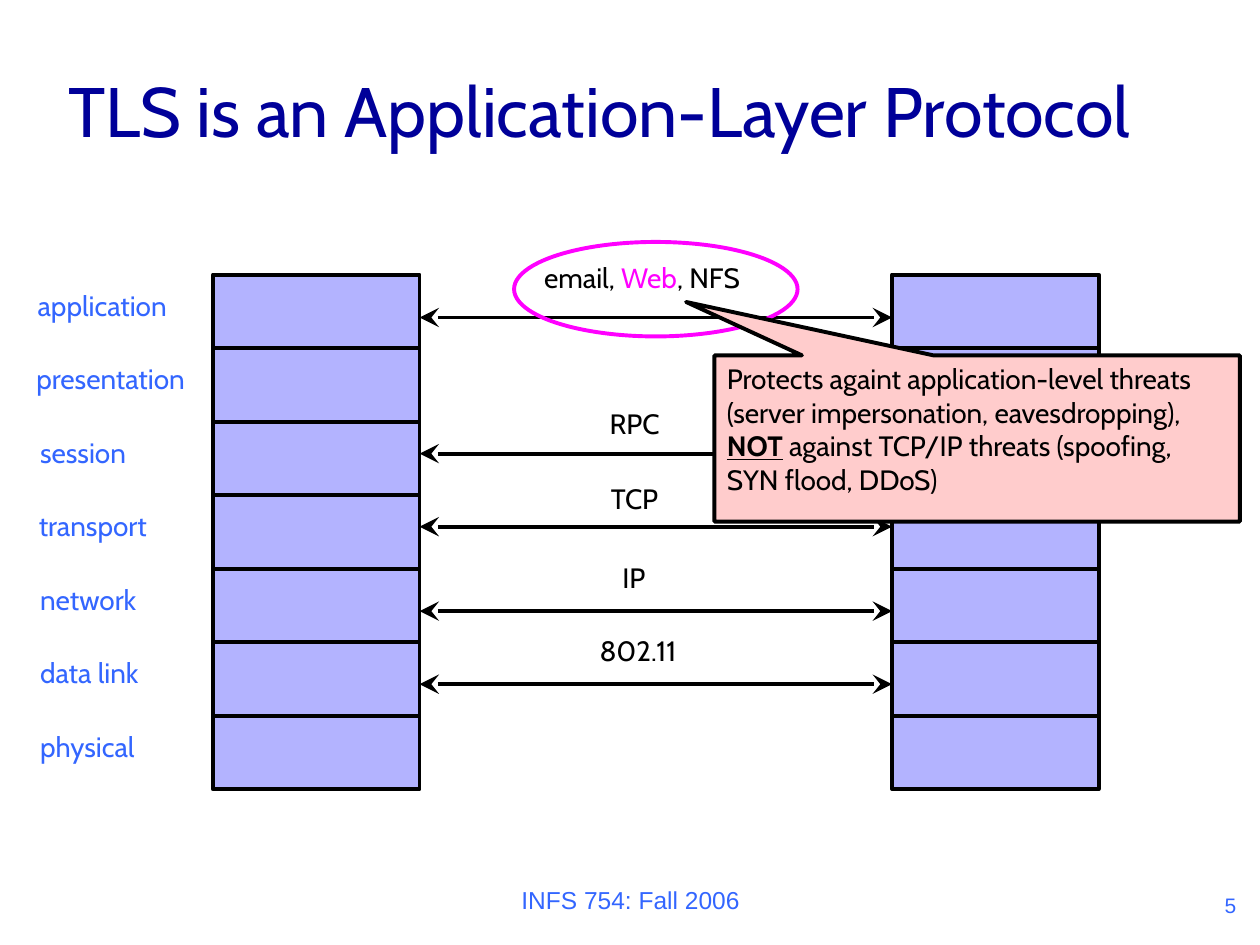
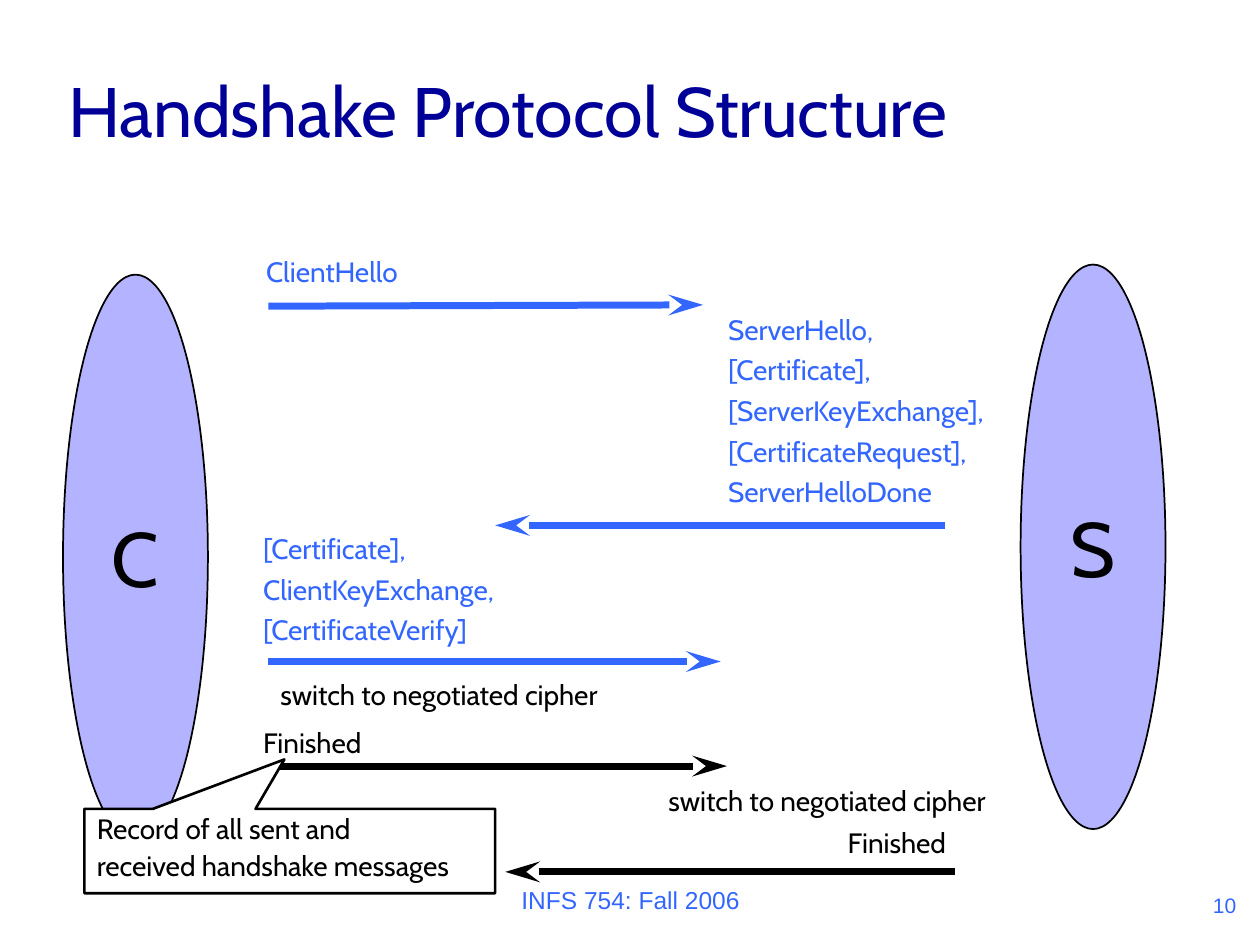
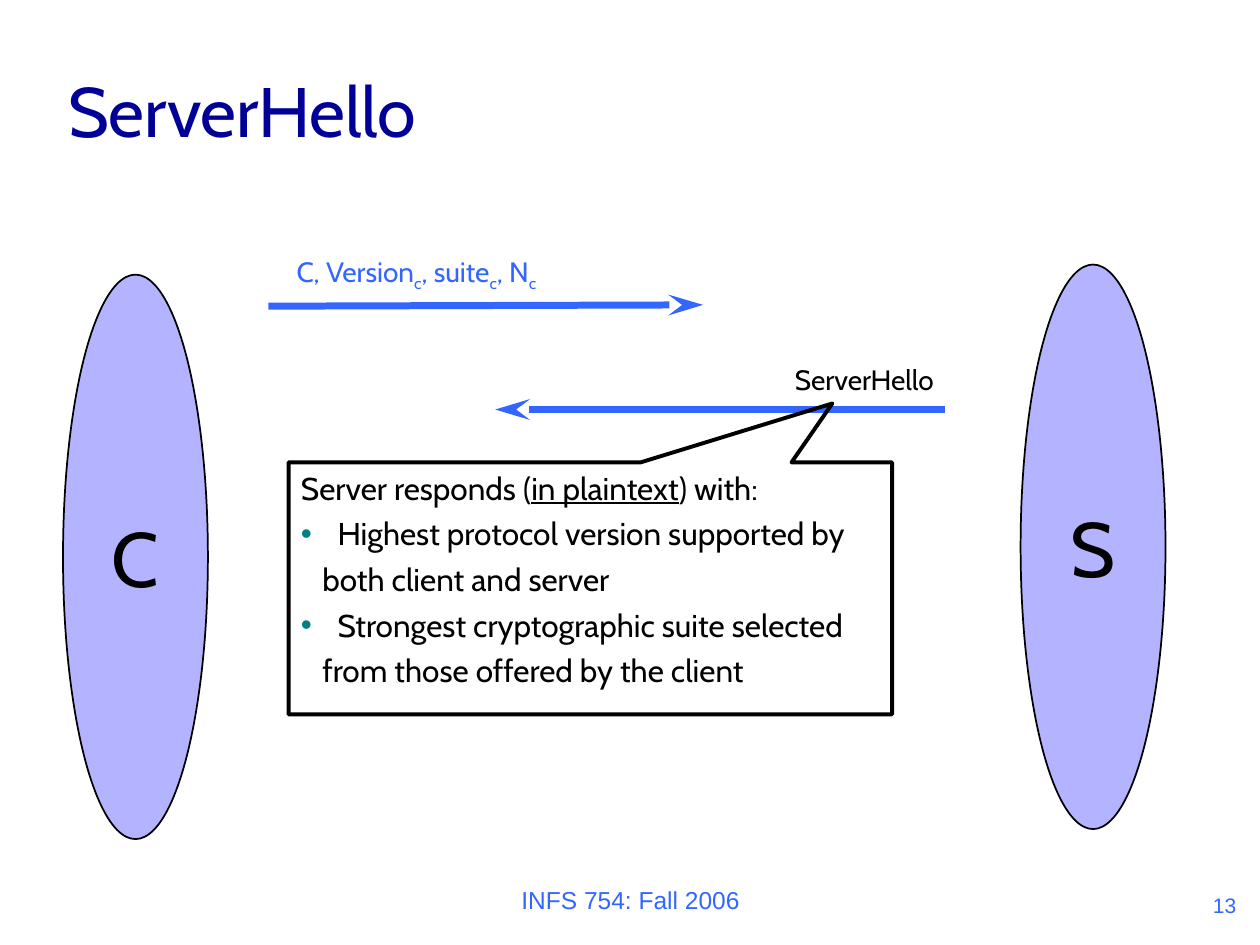
from lxml import etree
from pptx import Presentation
from pptx.dml.color import RGBColor
from pptx.enum import shapes, text
from pptx.oxml import ns
from pptx.util import Inches, Pt

COLORS = {
    "title": "000099",
    "blue": "3366FF",
    "black": "000000",
    "white": "FFFFFF",
    "lilac": "B3B3FF",
    "magenta": "FF00FF",
    "pink": "FFCCCC",
    "teal": "008080",
}
SUBSCRIPT = {"baseline": -25000}
UNDERLINE = {"underline": True}
LEFT, CENTER, RIGHT = text.PP_ALIGN.LEFT, text.PP_ALIGN.CENTER, text.PP_ALIGN.RIGHT


def rgb(name):
    return RGBColor.from_string(COLORS[name])


def add_xml(parent, tag, **attributes):
    return etree.SubElement(parent, ns.qn(tag), attributes)


def write(frame, paragraphs, size=16, color="black", font="Cabin", align=LEFT,
          anchor=text.MSO_ANCHOR.TOP, wrap=True, gap=4, spacing=None):
    """Fill a frame; a paragraph is a string or a list of strings and (string, format) spans."""
    frame.word_wrap = wrap
    frame.vertical_anchor = anchor
    for index, content in enumerate(paragraphs):
        para = frame.add_paragraph() if index else frame.paragraphs[0]
        para.alignment = align
        if index:
            para.space_before = Pt(gap)
        if spacing:
            para.line_spacing = spacing
        for part in [content] if isinstance(content, str) else content:
            words, style = (part, {}) if isinstance(part, str) else part
            span = para.add_run()
            span.text = words
            span.font.name, span.font.size = font, Pt(size)
            span.font.color.rgb = rgb(style.get("color", color))
            span.font.bold = style.get("bold")
            span.font.underline = style.get("underline")
            if "baseline" in style:
                span.font._element.set("baseline", str(style["baseline"]))


def indent(para, margin, bullet=False):
    properties = para._p.get_or_add_pPr()
    properties.set("marL", str(Inches(margin)))
    properties.set("indent", str(-Inches(margin) if bullet else 0))
    if bullet:
        add_xml(add_xml(properties, "a:buClr"), "a:srgbClr", val=COLORS["teal"])
        add_xml(properties, "a:buFont", typeface="Arial")
        add_xml(properties, "a:buChar", char="•")


class Deck:
    def __init__(self):
        self.presentation = Presentation()
        self.presentation.slide_width = Inches(10)
        self.presentation.slide_height = Inches(7.5)
        self.page = None

    def add_page(self, title, number, title_width=8.5):
        layout = self.presentation.slide_layouts[5]
        self.page = self.presentation.slides.add_slide(layout)
        box = self.page.shapes.title
        box.left, box.top = Inches(0.44), Inches(0.25)
        box.width, box.height = Inches(title_width), Inches(1)
        bottom = text.MSO_ANCHOR.BOTTOM
        write(box.text_frame, [title], size=40, color="title", anchor=bottom)
        box.text_frame.auto_size = text.MSO_AUTO_SIZE.NONE
        footer = {"font": "Arial", "color": "blue", "anchor": bottom, "wrap": True}
        self.label(["INFS 754: Fall 2006"], 3.42, 6.81, 3.17, 0.5,
                   size=14, align=CENTER, **footer)
        self.label([str(number)], 7.83, 6.83, 2.08, 0.5, size=12, align=RIGHT, **footer)

    def label(self, paragraphs, left, top, width, height=0.37, wrap=False, **style):
        box = self.page.shapes.add_textbox(
            Inches(left), Inches(top), Inches(width), Inches(height))
        write(box.text_frame, paragraphs, wrap=wrap, **style)
        if not wrap:
            box.text_frame.auto_size = text.MSO_AUTO_SIZE.SHAPE_TO_FIT_TEXT

    def shape(self, kind, left, top, width, height, fill=None, line="black", weight=2.25):
        shape = self.page.shapes.add_shape(
            kind, Inches(left), Inches(top), Inches(width), Inches(height))
        shape.shadow.inherit = False
        if fill:
            shape.fill.solid()
            shape.fill.fore_color.rgb = rgb(fill)
        else:
            shape.fill.background()
        shape.line.color.rgb = rgb(line)
        shape.line.width = Pt(weight)
        return shape

    def callout(self, paragraphs, left, top, width, height, tip, fill=None,
                weight=2.25, **style):
        shape = self.shape(shapes.MSO_SHAPE.RECTANGULAR_CALLOUT, left, top, width, height,
                           fill=fill, weight=weight)
        shape.adjustments[0], shape.adjustments[1] = tip
        write(shape.text_frame, paragraphs, **style)
        return shape

    def arrow(self, start, end, color="black", weight=4, head_width="med", both=False):
        line = self.page.shapes.add_connector(
            shapes.MSO_CONNECTOR.STRAIGHT, *(Inches(length) for length in (*start, *end)))
        line.line.color.rgb = rgb(color)
        line.line.width = Pt(weight)
        outline = line.line._get_or_add_ln()
        for tag in ("a:headEnd", "a:tailEnd") if both else ("a:tailEnd",):
            add_xml(outline, tag, type="stealth", w=head_width, len="lg")
        add_xml(line._element.spPr, "a:effectLst")

    def peers(self):
        """Draw the client and the server."""
        for name, left, top in (("C", 0.5, 2.18), ("S", 8.1, 2.1)):
            oval = self.shape(shapes.MSO_SHAPE.OVAL, left, top, 1.15, 4.48,
                              fill="lilac", weight=1)
            write(oval.text_frame, [name], size=44, align=CENTER,
                  anchor=text.MSO_ANCHOR.MIDDLE, wrap=False)


def layers_page(deck):
    deck.add_page("TLS is an Application-Layer Protocol", 5, title_width=9.22)
    left_stack, right_stack, stack_width = 1.69, 7.08, 1.64
    row_height = 3.5 / 6
    layers = [("application", 0.2, 1.35), ("presentation", 0.19, 1.53),
              ("session", 0.22, 0.97), ("transport", 0.21, 1.18),
              ("network", 0.22, 1.06), ("data link", 0.22, 1.09),
              ("physical", 0.22, 1.04)]
    for row, (name, left, width) in enumerate(layers):
        offset = row * row_height
        for stack in (left_stack, right_stack):
            deck.shape(shapes.MSO_SHAPE.RECTANGLE, stack, 2.18 + offset,
                       stack_width, row_height, fill="lilac")
        deck.label([name], left, 2.24 + offset, width, color="blue")

    web = ["email, ", ("Web", {"color": "magenta"}), ", NFS"]
    protocols = [(web, 4.22, 2.02, 1.88, 2.52), ("RPC", 4.74, 3.18, 0.61, 3.6),
                 ("TCP", 4.75, 3.77, 0.6, 4.18), ("IP", 4.84, 4.4, 0.41, 4.85),
                 ("802.11", 4.66, 4.98, 0.89, 5.43)]
    for name, left, top, width, level in protocols:
        deck.arrow((left_stack + stack_width, level), (right_stack, level),
                   weight=2.25, head_width="lg", both=True)
        deck.label([name], left, top, width)

    deck.shape(shapes.MSO_SHAPE.OVAL, 4.08, 1.92, 2.25, 0.75, line="magenta")
    threats = ["Protects againt application-level threats "
               "(server impersonation, eavesdropping), ",
               ("NOT", {"bold": True, "underline": True}),
               " against TCP/IP threats (spoofing, SYN flood, DDoS)"]
    deck.callout([threats], 5.67, 2.82, 4.17, 1.32, tip=(-0.554, -0.821), fill="pink")


def handshake_page(deck):
    deck.add_page("Handshake Protocol Structure", 10)
    deck.peers()
    for start, end, color in [((2.13, 2.43), (5.58, 2.42), "blue"),
                              ((7.5, 4.17), (3.93, 4.17), "blue"),
                              ((2.13, 5.25), (5.72, 5.25), "blue"),
                              ((2.17, 6.08), (5.77, 6.08), "black"),
                              ((7.58, 6.92), (4.01, 6.92), "black")]:
        deck.arrow(start, end, color)

    deck.label(["ClientHello"], 1.97, 1.97, 1.33, color="blue", align=CENTER)
    deck.label(["ServerHello,", "[Certificate],", "[ServerKeyExchange],",
                "[CertificateRequest],", "ServerHelloDone"],
               5.68, 2.43, 2.45, 1.66, color="blue")
    deck.label(["[Certificate],", "ClientKeyExchange,", "[CertificateVerify]"],
               1.99, 4.17, 2.24, 1.01, color="blue")
    for left, top in ((1.97, 5.33), (5.05, 6.17)):
        deck.label(["switch to negotiated cipher"], left, top, 3.03, align=CENTER)
    for left, top in ((1.99, 5.71), (6.63, 6.5)):
        deck.label(["Finished"], left, top, 1.07)
    deck.callout(["Record of all sent and", "received handshake messages"],
                 0.67, 6.42, 3.26, 0.67, tip=(-0.013, -1.086), fill="white",
                 weight=1.5, spacing=0.9)


def server_hello_page(deck):
    deck.add_page("ServerHello", 13)
    deck.peers()
    deck.arrow((2.13, 2.43), (5.58, 2.42), "blue")
    deck.arrow((7.5, 3.25), (3.93, 3.25), "blue")
    small_c = ("c", SUBSCRIPT)
    deck.label([["C, Version", small_c, ", suite", small_c, ", N", small_c]],
               2.14, 1.97, 2.33, 0.41, color="blue", align=CENTER)
    deck.label(["ServerHello"], 6.21, 2.83, 1.4)
    response = deck.callout(
        [["Server responds (", ("in plaintext", UNDERLINE), ") with:"],
         "Highest protocol version supported by",
         "both client and server",
         "Strongest cryptographic suite selected",
         "from those offered by the client"],
        2.29, 3.67, 4.79, 2, tip=(0.401, -0.734), size=18, gap=4.5)
    lines = response.text_frame.paragraphs
    for bullet_line, next_line in ((lines[1], lines[2]), (lines[3], lines[4])):
        indent(bullet_line, 0.29, bullet=True)
        indent(next_line, 0.17)


def main():
    deck = Deck()
    layers_page(deck)
    handshake_page(deck)
    server_hello_page(deck)
    deck.presentation.save("out.pptx")


if __name__ == "__main__":
    main()
